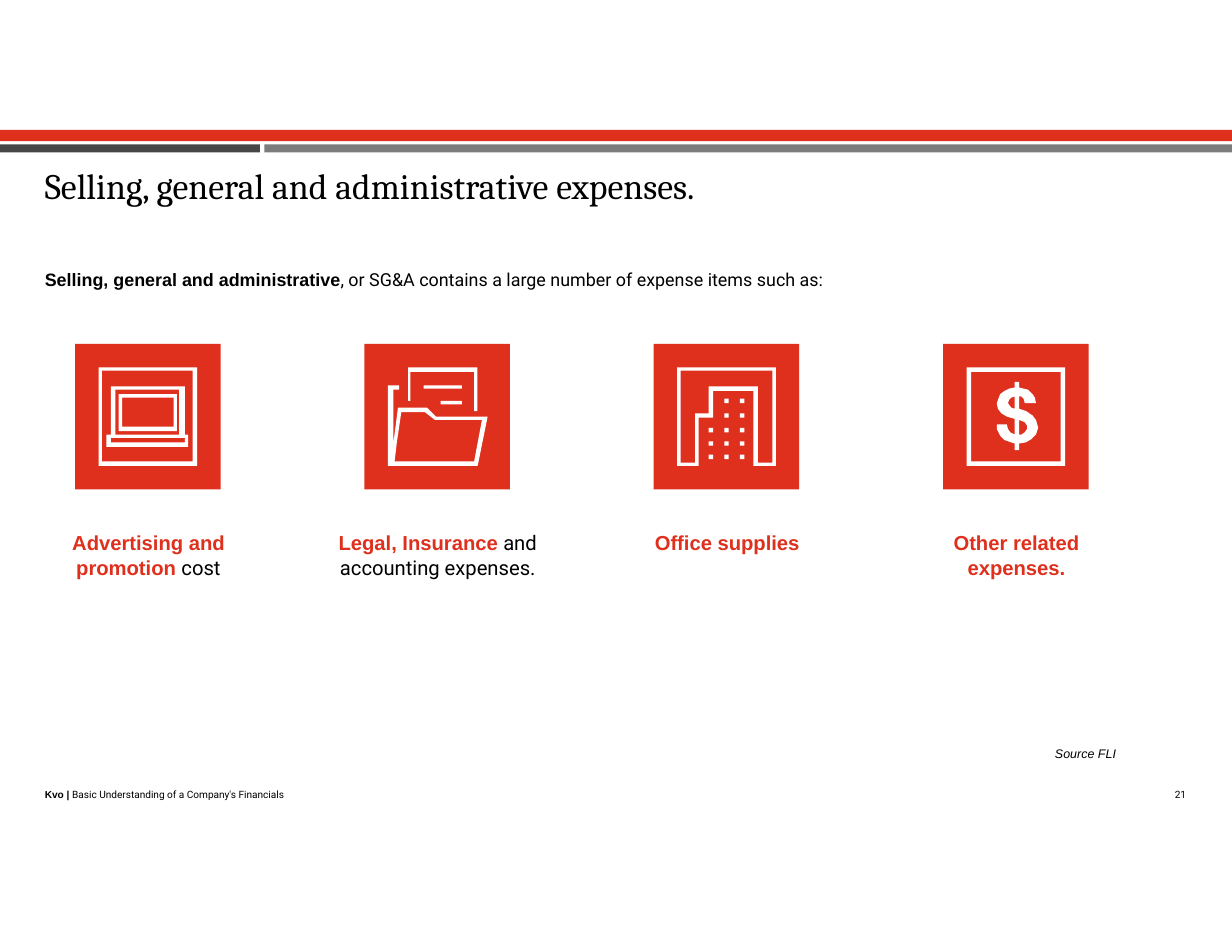
from pptx import Presentation
from pptx.dml.color import RGBColor
from pptx.enum import shapes, text
from pptx.util import Inches, Pt

COLORS = {"red": "DF2F1D", "dark": "464646", "gray": "7C7C7C",
          "black": "000000", "white": "FFFFFF"}
UNIT = Inches(0.01)  # icons are drawn in hundredths of an inch
TILE = 1.3
TILE_TOP = 3.07
FIRST_TILE, LAST_TILE = 0.67, 8.42


def color(name):
    return RGBColor.from_string(COLORS[name])


def paint(shape, name):
    shape.fill.solid()
    shape.fill.fore_color.rgb = color(name)
    shape.line.fill.background()
    shape.shadow.inherit = False


def add_bar(slide, left, top, width, height, name):
    bar = slide.shapes.add_shape(shapes.MSO_SHAPE.RECTANGLE, Inches(left), Inches(top),
                                 Inches(width), Inches(height))
    paint(bar, name)


def fill_text(shape, runs, size, align=text.PP_ALIGN.LEFT, before=1, inset=0.01):
    """Write one paragraph of (text, font, bold, colour) runs."""
    frame = shape.text_frame
    frame.word_wrap = True
    frame.auto_size = text.MSO_AUTO_SIZE.NONE
    frame.vertical_anchor = text.MSO_ANCHOR.TOP
    frame.margin_left, frame.margin_top = Inches(0.01), Inches(inset)
    frame.margin_right = frame.margin_bottom = 0
    paragraph = frame.paragraphs[0]
    paragraph.alignment = align
    paragraph.space_before = Pt(before)
    paragraph.font.size = Pt(size)
    for words, font, bold, name in runs:
        run = paragraph.add_run()
        run.text = words
        run.font.name = font
        run.font.bold = bold
        run.font.color.rgb = color(name)
    return paragraph


def add_text(slide, left, top, width, height, runs, size, **options):
    box = slide.shapes.add_textbox(Inches(left), Inches(top), Inches(width), Inches(height))
    return fill_text(box, runs, size, **options)


# Icon outlines, relative to the corner of a tile; inner outlines are holes
def rectangle(left, top, right, bottom):
    return [(left, top), (right, top), (right, bottom), (left, bottom)]


def laptop():
    return [
        rectangle(21, 21, 109, 109), rectangle(24, 24, 105, 105),  # frame
        rectangle(39, 45, 91, 78), rectangle(42, 48, 88, 74),      # screen
        rectangle(32, 38, 98, 81), rectangle(36, 41, 93, 81),      # lid
        rectangle(28, 81, 101, 92), rectangle(32, 84, 98, 88),     # base
    ]


def folder():
    page = [(39, 21), (101, 21), (101, 60), (98, 60), (98, 25), (41, 25), (41, 51), (39, 51)]
    back = [(101, 109), (21, 109), (21, 37), (31, 37), (31, 41), (26, 41), (26, 88),
            (29, 88), (27, 105), (102, 105)]
    flap = [(29, 88), (26, 88), (30, 57), (56, 57), (60, 61), (33, 61)]
    front = [(102, 105), (98, 105), (105, 68), (63, 68), (54, 61), (60, 61), (64, 65), (110, 65)]
    return [page, back, flap, front, rectangle(53, 37, 87, 40), rectangle(68, 51, 87, 54)]


def building():
    outside = [(21, 21), (109, 21), (109, 109), (89, 109), (89, 42), (53, 42), (53, 66),
               (40, 66), (40, 109), (21, 109)]
    inside = [(24, 24), (106, 24), (106, 106), (93, 106), (93, 38), (49, 38), (49, 62),
              (37, 62), (37, 106), (24, 106)]
    windows = [rectangle(x, y, x + 4, y + 4)
               for x in (49, 63, 77) for y in (49, 62, 75, 87, 99)
               if x > 49 or y > 62]
    return [outside, inside] + windows


def dollar():
    sign = [(64, 34), (68, 34), (68, 39), (72, 40), (76, 41), (80, 45), (82, 48), (83, 53),
            (73, 53), (72, 49), (70, 47), (68, 47), (68, 58), (74, 60), (80, 64), (83, 68),
            (85, 75), (83, 81), (79, 85), (74, 88), (68, 89), (68, 95), (64, 95), (64, 89),
            (55, 86), (51, 82), (48, 76), (48, 72), (57, 72), (58, 76), (60, 79), (64, 81),
            (64, 67), (57, 65), (52, 62), (49, 58), (48, 53), (51, 45), (55, 42), (59, 40),
            (64, 39)]
    upper_hole = [(64, 47), (61, 48), (59, 50), (58, 53), (61, 57), (64, 58)]
    lower_hole = [(68, 68), (73, 70), (75, 73), (75, 76), (73, 79), (70, 81), (68, 81)]
    return [rectangle(21, 21, 109, 109), rectangle(25, 25, 105, 105),
            sign, upper_hole, lower_hole]


def add_icon(slide, left, top, outlines):
    builder = slide.shapes.build_freeform(*outlines[0][0], scale=UNIT)
    for index, outline in enumerate(outlines):
        if index:
            builder.move_to(*outline[0])
        builder.add_line_segments(outline[1:], close=True)
    paint(builder.convert_to_shape(Inches(left), Inches(top)), "white")


def add_expense(slide, left, top, icon, label, label_width):
    """Red tile with its icon and a label centred below."""
    add_bar(slide, left, top, TILE, TILE, "red")
    add_icon(slide, left, top, icon())
    paragraph = add_text(slide, left + (TILE - label_width) / 2, top + 1.65, label_width, 0.47,
                         label, 13, align=text.PP_ALIGN.CENTER)
    paragraph.line_spacing = 1.02


def add_header(slide):
    add_bar(slide, 0, 1.16, 11, 0.1, "red")
    add_bar(slide, 2.36, 1.29, 8.64, 0.07, "gray")
    add_bar(slide, 0, 1.29, 2.32, 0.07, "dark")
    title = slide.shapes.title
    title.left, title.top = Inches(0.39), Inches(1.44)
    title.width, title.height = Inches(8.6), Inches(0.44)
    fill_text(title, [("Selling, general and administrative expenses.", "Cambria", False, "black")],
              23, inset=0.02)


def add_footer(slide):
    source = add_text(slide, 9.41, 6.64, 0.6, 0.17, [("Source FLI", "Arial", False, "black")],
                      8, inset=0.02)
    source.font.italic = True
    add_text(slide, 0.39, 7.03, 2.26, 0.13,
             [("Kvo | ", "Arial", True, "black"),
              ("Basic Understanding of a Company's Financials", "Roboto", False, "black")],
             6.5, before=0.5)
    add_text(slide, 10.48, 7.03, 0.17, 0.13, [("21", "Roboto", False, "black")], 6.5, before=0.5)


def main():
    presentation = Presentation()
    presentation.slide_width, presentation.slide_height = Inches(11), Inches(8.5)
    slide = presentation.slides.add_slide(presentation.slide_layouts[5])
    add_header(slide)

    # Introduction
    add_text(slide, 0.39, 2.39, 7.04, 0.22,
             [("Selling, general and administrative", "Arial", True, "black"),
              (", or SG&A contains a large number of expense items such as:",
               "Roboto", False, "black")], 11.5)

    # Row of expense types
    expenses = [
        (laptop, [("Advertising and promotion ", "Arial", True, "red"),
                  ("cost", "Roboto", False, "black")], 1.41),
        (folder, [("Legal, Insurance ", "Arial", True, "red"),
                  ("and accounting expenses.", "Roboto", False, "black")], 1.83),
        (building, [("Office supplies", "Arial", True, "red")], 1.35),
        (dollar, [("Other related expenses.", "Arial", True, "red")], 1.17),
    ]
    pitch = (LAST_TILE - FIRST_TILE) / (len(expenses) - 1)
    for index, (icon, label, width) in enumerate(expenses):
        add_expense(slide, FIRST_TILE + index * pitch, TILE_TOP, icon, label, width)

    add_footer(slide)
    presentation.save("out.pptx")


if __name__ == "__main__":
    main()
